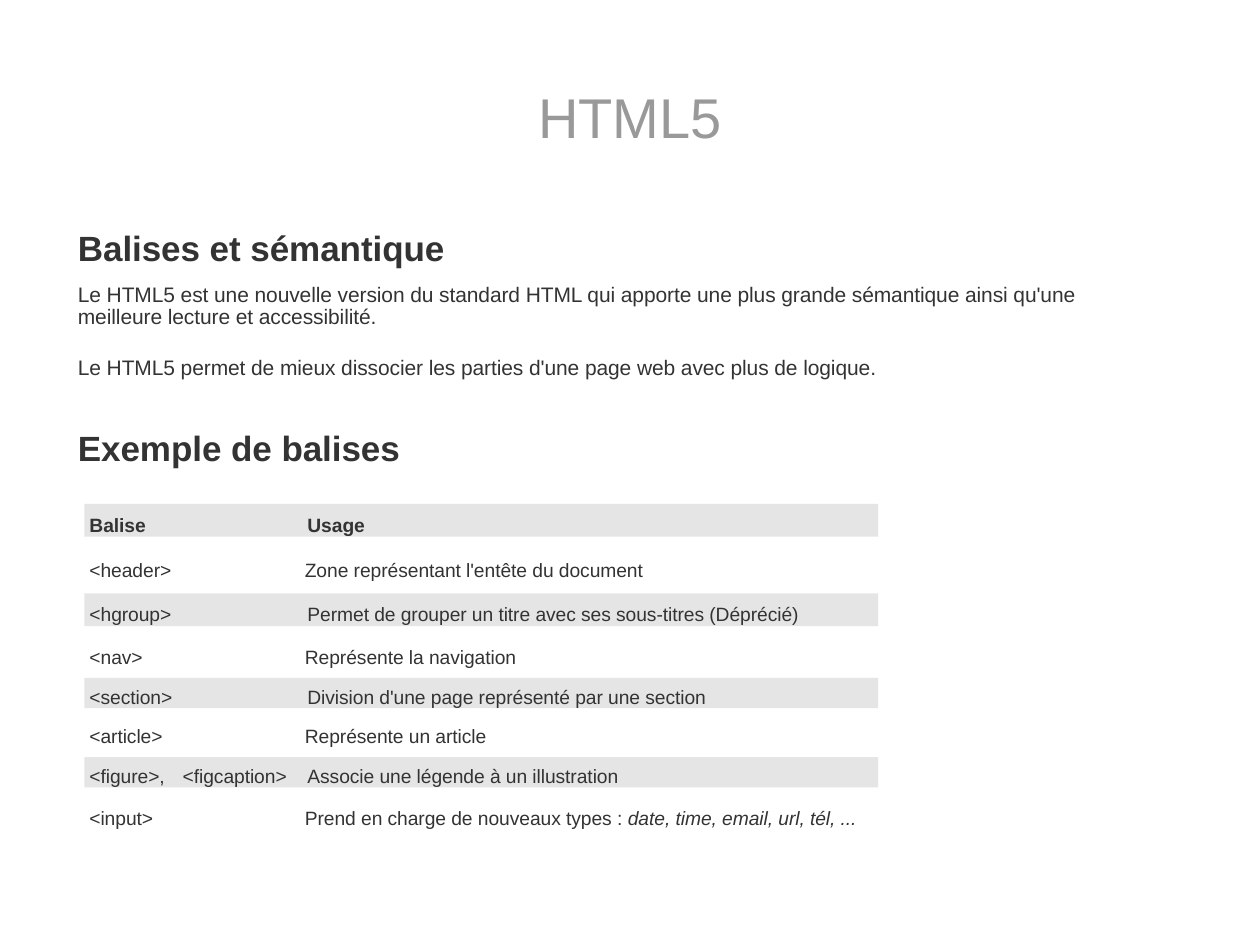
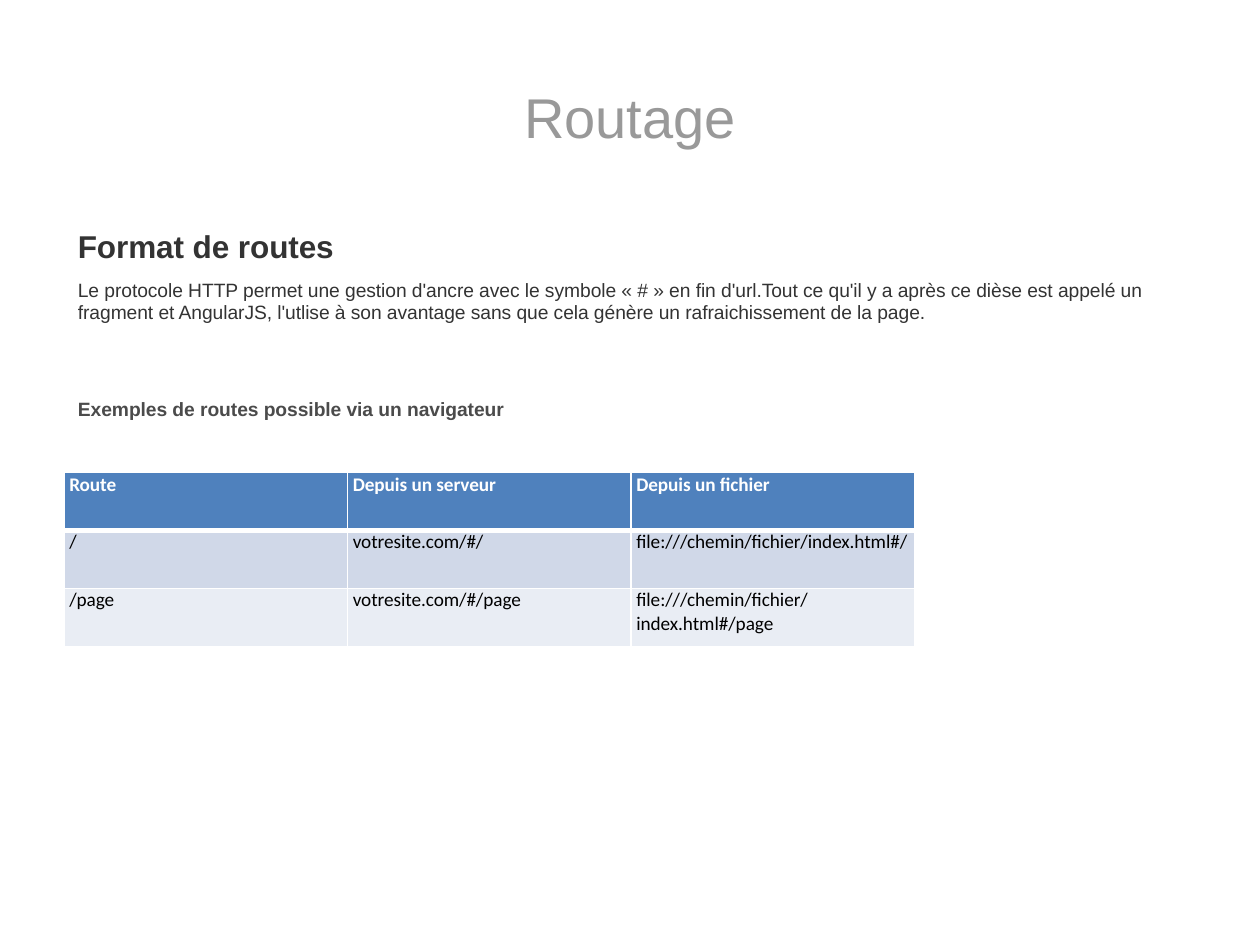
from pptx import Presentation
from pptx.dml.color import RGBColor
from pptx.enum.shapes import MSO_SHAPE
from pptx.enum.text import MSO_ANCHOR, PP_ALIGN
from pptx.oxml.ns import qn
from pptx.util import Pt
from lxml import etree

PX = 9144
RECT = MSO_SHAPE.RECTANGLE
TOP, MIDDLE = MSO_ANCHOR.TOP, MSO_ANCHOR.MIDDLE
LEFT, CENTER = PP_ALIGN.LEFT, PP_ALIGN.CENTER
SIDES = ("margin_left", "margin_top", "margin_right", "margin_bottom")

WHITE = RGBColor(0xFF, 0xFF, 0xFF)
BLACK = RGBColor(0, 0, 0)
GREY = RGBColor(0x99, 0x99, 0x99)
INK = RGBColor(0x33, 0x33, 0x33)
SOFT = RGBColor(0x4B, 0x4B, 0x4B)
BAND = RGBColor(0xE5, 0xE5, 0xE5)
BLUE = RGBColor(0x4F, 0x81, 0xBD)
PALE = RGBColor(0xD0, 0xD8, 0xE8)
MIST = RGBColor(0xE9, 0xED, 0xF4)

HEAD = (50, 30, 900, 125)
BODY = (50, 175, 900, 495)
TAGS = (67, 400, 630, 259)
GRID = (51, 375, 675, 138)

TAG_ROWS = [
    (0, 26, 7, "Balise\tUsage", ""),
    (43, 443, 0, "<header>\tZone représentant l'entête du document", ""),
    (71, 26, 7, "<hgroup>\tPermet de grouper un titre avec ses sous-titres (Déprécié)", ""),
    (112, 341, 0, "<nav>\tReprésente la navigation", ""),
    (138, 24, 6, "<section>\tDivision d'une page représenté par une section", ""),
    (175, 317, 0, "<article>\tReprésente un article", ""),
    (201, 24, 6, "<figure>,\t<figcaption>\tAssocie une légende à un illustration", ""),
    (240, 614, 0, "<input>\tPrend en charge de nouveaux types : ",
     "date, time, email, url, tél, ..."),
]
ROUTES = [
    ("Route", "Depuis un serveur", "Depuis un fichier"),
    ("/", "votresite.com/#/", "file:///chemin/fichier/index.html#/"),
    ("/page", "votresite.com/#/page", "file:///chemin/fichier/index.html#/page"),
]


def put(item, vals):
    for name, val in vals.items():
        setattr(item, name, val)


def emu(*nums):
    return [round(num * PX) for num in nums]


def style(size, color=INK, bold=False, face="Arial"):
    return {"size": Pt(size), "bold": bold, "name": face}, color


def write(para, text, look, italic=False):
    run = para.add_run()
    run.text = text
    font, color = look
    put(run.font, font)
    run.font.color.rgb = color
    if italic:
        run.font.italic = True
    run.font._element.set("spc", "-5")


def indent(para, left, right=0, tabs=()):
    props = para._p.get_or_add_pPr()
    props.set("marL", str(left * PX))
    if right:
        props.set("marR", str(right * PX))
    if tabs:
        stops = etree.SubElement(props, qn("a:tabLst"))
        for stop in tabs:
            etree.SubElement(stops, qn("a:tab"), pos=str(stop * PX), algn="l")


def frame(shape, inset, anchor=TOP):
    text = shape.text_frame
    put(text, dict(zip(SIDES, emu(*inset))))
    put(text, {"word_wrap": True, "vertical_anchor": anchor})
    return text


def title(slide, box, text):
    para = frame(slide.shapes.add_textbox(*emu(*box)), (10, 5, 10, 5), MIDDLE).paragraphs[0]
    para.alignment = CENTER
    write(para, text, style(32, GREY))


def body(slide, box, parts):
    text = frame(slide.shapes.add_textbox(*emu(*box)), (10, 5, 10, 5))
    for num, (words, look, space, right) in enumerate(parts):
        para = text.add_paragraph() if num else text.paragraphs[0]
        indent(para, 2, right)
        put(para, space)
        write(para, words, look)


def tags(slide, box):
    left, top, width, _ = box
    for num, (drop, size, inset, words, tail) in enumerate(TAG_ROWS):
        if inset:
            shape = slide.shapes.add_shape(RECT, *emu(left, top + drop, width, size))
            shape.shadow.inherit = False
            shape.fill.solid()
            shape.fill.fore_color.rgb = BAND
            shape.line.fill.background()
            pad, stop = 4, 173
        else:
            shape = slide.shapes.add_textbox(*emu(left + 3, top + drop, size, 19))
            pad, stop = 1, 171
        para = frame(shape, (0, inset, 0, 0)).paragraphs[0]
        indent(para, pad, tabs=(74, stop) if words.count("\t") > 1 else (stop,))
        para.alignment = LEFT
        look = style(11, bold=num == 0)
        write(para, words, look)
        if tail:
            write(para, tail, look, True)


def edge(cell, widths):
    props = cell._tc.get_or_add_tcPr()
    for num, (side, width) in enumerate(widths.items()):
        line = etree.Element(qn("a:ln" + side), w=str(Pt(width)))
        fill = etree.SubElement(line, qn("a:solidFill"))
        etree.SubElement(fill, qn("a:srgbClr"), val=str(WHITE))
        props.insert(num, line)


def grid(slide, box):
    rows, cols = len(ROUTES), len(ROUTES[0])
    table = slide.shapes.add_table(rows, cols, *emu(*box)).table
    put(table, {"first_row": False, "horz_banding": False})
    for col in table.columns:
        col.width = box[2] * PX // cols
    for row in table.rows:
        row.height = box[3] * PX // rows
    for num, (words, fill) in enumerate(zip(ROUTES, (BLUE, PALE, MIST))):
        look = style(11, BLACK if num else WHITE, num == 0, "Calibri")
        for col, text in enumerate(words):
            cell = table.cell(num, col)
            put(cell, dict.fromkeys(SIDES, 0))
            cell.fill.solid()
            cell.fill.fore_color.rgb = fill
            edge(cell, {"L": 1, "R": 1, "T": 3 if num == 1 else 1, "B": 1 if num else 3})
            para = cell.text_frame.paragraphs[0]
            indent(para, 4)
            write(para, text, look)


def html(slide):
    title(slide, HEAD, "HTML5")
    body(slide, BODY, [
        ("Balises et sémantique", style(20, bold=True), {}, 0),
        ("Le HTML5 est une nouvelle version du standard HTML qui apporte une plus grande "
         "sémantique ainsi qu'une meilleure lecture et accessibilité.",
         style(12), {"space_before": Pt(9), "line_spacing": Pt(12.7)}, 30),
        ("Le HTML5 permet de mieux dissocier les parties d'une page web avec plus de logique.",
         style(12), {"space_before": Pt(14.8)}, 0),
        ("Exemple de balises", style(20, bold=True), {"space_before": Pt(26.8)}, 0),
    ])
    tags(slide, TAGS)


def routes(slide):
    title(slide, HEAD, "Routage")
    body(slide, BODY, [
        ("Format de routes", style(18, bold=True), {}, 0),
        ("Le protocole HTTP permet une gestion d'ancre avec le symbole « # » en fin d'url.Tout "
         "ce qu'il y a après ce dièse est appelé un fragment et AngularJS, l'utlise à son "
         "avantage sans que cela génère un rafraichissement de la page.",
         style(11), {"space_before": Pt(8.8), "line_spacing": 0.96}, 0),
        ("Exemples de routes possible via un navigateur",
         style(11, SOFT, True), {"space_before": Pt(42)}, 0),
    ])
    grid(slide, GRID)


def main():
    deck = Presentation()
    put(deck, {"slide_width": 1000 * PX, "slide_height": 750 * PX})
    for draw in (html, routes):
        draw(deck.slides.add_slide(deck.slide_layouts[6]))
    deck.save("out.pptx")


if __name__ == "__main__":
    main()
